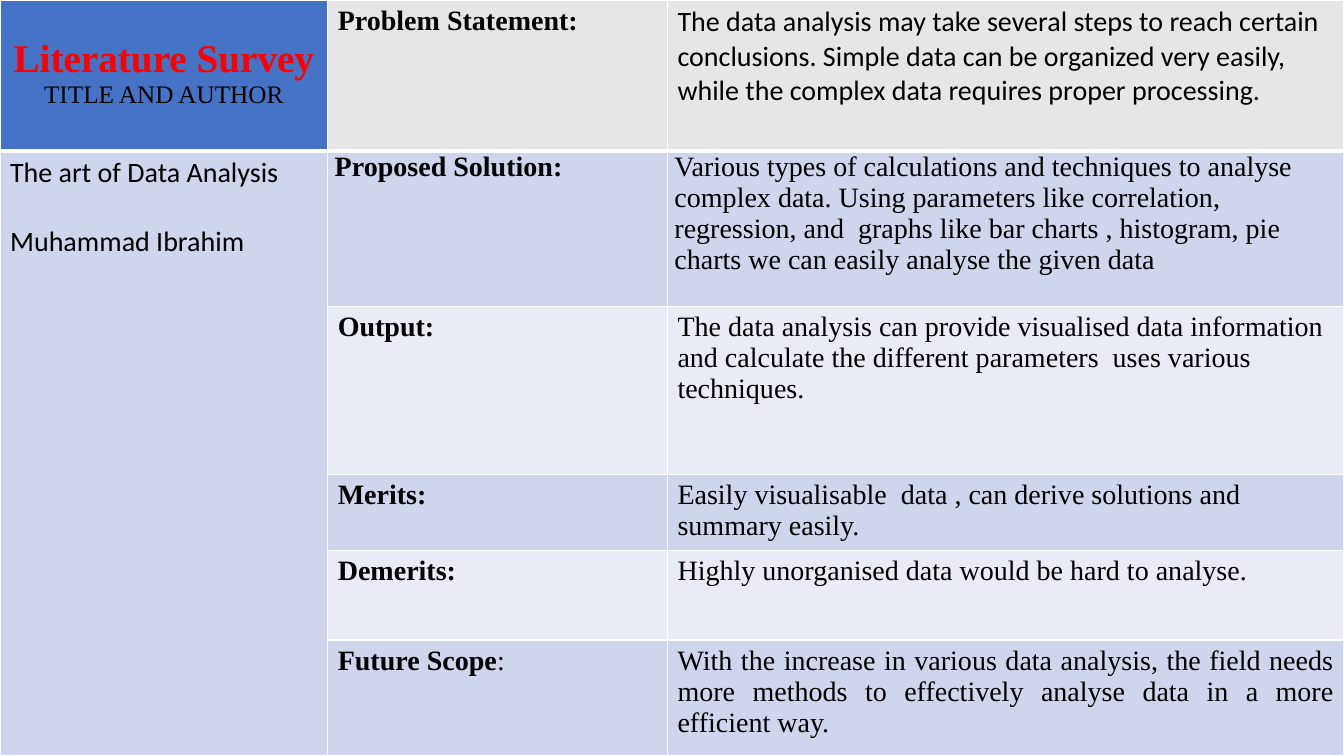
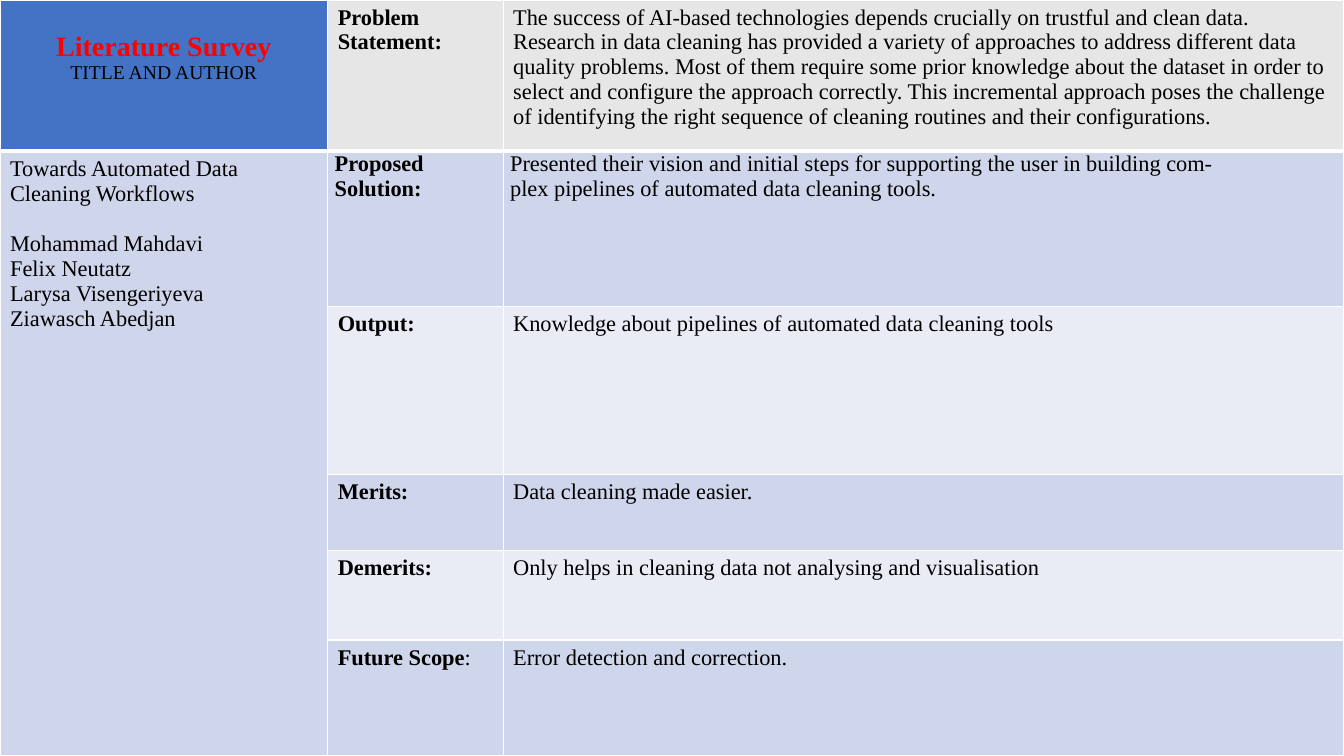
from lxml.etree import SubElement
from pptx import Presentation
from pptx.dml.color import RGBColor
from pptx.enum.text import PP_ALIGN
from pptx.oxml.ns import qn
from pptx.util import Inches, Pt

SERIF, SANS = "Times New Roman", "Calibri"
BLACK, WHITE, RED = "000000", "FFFFFF", "FF0000"
BLUE, GREY, BAND_DARK, BAND_LIGHT = "4472C4", "E7E6E6", "CFD5EA", "E9EBF5"
ROW_HEIGHTS = [1.5, 1.54, 1.67, 0.75, 0.89, 1.15]
ROW_FILLS = [GREY, BAND_DARK, BAND_LIGHT, BAND_DARK, BAND_LIGHT, BAND_DARK]
TOPICS = ["Problem Statement:", "Proposed Solution:", "Output:", "Merits:",
          "Demerits:", "Future Scope"]
SOLUTION_ROW, SCOPE_ROW = 1, 5
LINE_HEIGHT = {SERIF: 1.15, SANS: 1.22}


def rgb(value):
    return RGBColor.from_string(value)


class SurveyDeck:
    def __init__(self):
        self.prs = Presentation()
        self.prs.slide_width, self.prs.slide_height = Inches(13.33), Inches(7.5)

    def new_slide(self, size):
        self.slide = self.prs.slides.add_slide(self.prs.slide_layouts[6])
        self.size = size

    def grid(self, widths):
        self.table = self.slide.shapes.add_table(
            len(ROW_HEIGHTS), len(widths), 0, 0,
            Inches(sum(widths)), Inches(sum(ROW_HEIGHTS))).table
        self.table.first_row = self.table.horz_banding = False
        for column, width in zip(self.table.columns, widths):
            column.width = Inches(width)
        for row, height in zip(self.table.rows, ROW_HEIGHTS):
            row.height = Inches(height)
        for r, fill in enumerate(ROW_FILLS):
            for c in range(len(widths)):
                self.style_cell(r, c, BAND_DARK if r and c == 0 else fill)
        self.table.cell(1, 0).merge(self.table.cell(len(ROW_HEIGHTS) - 1, 0))

    def style_cell(self, r, c, fill):
        cell = self.table.cell(r, c)
        properties = cell._tc.get_or_add_tcPr()
        for side in "LRTB":
            weight = 3 if r == 0 and side == "B" else 1
            line = SubElement(properties, qn(f"a:ln{side}"), w=str(Pt(weight)))
            SubElement(SubElement(line, qn("a:solidFill")), qn("a:srgbClr"), val=WHITE)
        cell.fill.solid()
        cell.fill.fore_color.rgb = rgb(fill)
        if r == SOLUTION_ROW and c:
            cell.margin_left = cell.margin_right = Inches(0.07)
            cell.margin_top = cell.margin_bottom = 0

    def paragraph(self, r, c, align=PP_ALIGN.LEFT):
        frame = self.table.cell(r, c).text_frame
        paragraph = frame.paragraphs[0]
        if paragraph.runs:
            paragraph = frame.add_paragraph()
        paragraph.alignment = align
        return paragraph

    def run(self, paragraph, text, size=None, font=SERIF, color=BLACK, bold=False):
        run = paragraph.add_run()
        run.text = text
        run.font.size, run.font.name, run.font.bold = Pt(size or self.size), font, bold
        run.font.color.rgb = rgb(color)

    def heading(self, title_size, subtitle_size):
        # The title starts one body line below the cell's top margin
        drop = self.size * LINE_HEIGHT[SERIF] / 72
        self.table.cell(0, 0).margin_top = Inches(round(0.05 + drop, 2))
        self.run(self.paragraph(0, 0, PP_ALIGN.CENTER), "Literature Survey",
                 title_size, color=RED, bold=True)
        self.run(self.paragraph(0, 0, PP_ALIGN.CENTER), "TITLE AND AUTHOR", subtitle_size)
        self.table.cell(0, 0).fill.fore_color.rgb = rgb(BLUE)

    def work(self, title, authors, font):
        self.run(self.paragraph(1, 0), title, font=font)
        for i, author in enumerate(authors):
            line = self.paragraph(1, 0)
            if i == 0:
                line.space_before = Pt(round(self.size * LINE_HEIGHT[font], 1))
            self.run(line, author, font=font)

    def findings(self, answers, first_font):
        for r, (topic, answer) in enumerate(zip(TOPICS, answers)):
            label = self.paragraph(r, 1)
            self.run(label, topic, bold=True)
            if r == SCOPE_ROW:
                self.run(label, ":")
            align = PP_ALIGN.JUSTIFY if r == SCOPE_ROW else PP_ALIGN.LEFT
            for text in answer:
                self.run(self.paragraph(r, 2, align), text,
                         font=SERIF if r else first_font)


SURVEYS = [
    dict(size=20, title_size=28, subtitle_size=18, widths=[3.25, 3.37, 6.71], font=SANS,
         title="The art of Data Analysis", authors=["Muhammad Ibrahim"],
         answers=[
             ["The data analysis may take several steps to reach certain conclusions. "
              "Simple data can be organized very easily, while the complex data requires "
              "proper processing."],
             ["Various types of calculations and techniques to analyse complex data. "
              "Using parameters like correlation, regression, and\u00a0 graphs like bar "
              "charts , histogram, pie charts we can easily analyse the given data"],
             ["The data analysis can provide visualised data information and calculate "
              "the different parameters\u00a0 uses various techniques."],
             ["Easily visualisable\u00a0 data , can derive solutions and summary easily."],
             ["Highly unorganised data would be hard to analyse.\u00a0"],
             ["With the increase in various data analysis, the field needs more methods "
              "to effectively analyse data in a more efficient way."]]),
    dict(size=16, title_size=20, subtitle_size=14, widths=[3.25, 1.74, 8.34], font=SERIF,
         title="Towards Automated Data Cleaning Workflows",
         authors=["Mohammad Mahdavi", "Felix Neutatz", "Larysa Visengeriyeva",
                  "Ziawasch Abedjan"],
         answers=[
             ["The success of AI-based technologies depends crucially on trustful and "
              "clean data. Research in data cleaning has provided a variety of approaches "
              "to address different data quality problems. Most of them require some prior "
              "knowledge about the dataset in order to select and configure the approach "
              "correctly. This incremental approach poses the challenge of identifying the "
              "right sequence of cleaning routines and their configurations."],
             ["Presented their vision and initial steps for supporting the user in "
              "building com-",
              "plex pipelines of automated data cleaning tools. "],
             ["Knowledge about pipelines of automated data cleaning tools"],
             ["Data cleaning made easier."],
             ["Only helps in cleaning data not analysing and visualisation"],
             ["Error detection and correction."]]),
]

# One slide per surveyed work
deck = SurveyDeck()
for survey in SURVEYS:
    deck.new_slide(survey["size"])
    deck.grid(survey["widths"])
    deck.heading(survey["title_size"], survey["subtitle_size"])
    deck.work(survey["title"], survey["authors"], survey["font"])
    deck.findings(survey["answers"], survey["font"])

deck.prs.save("out.pptx")
